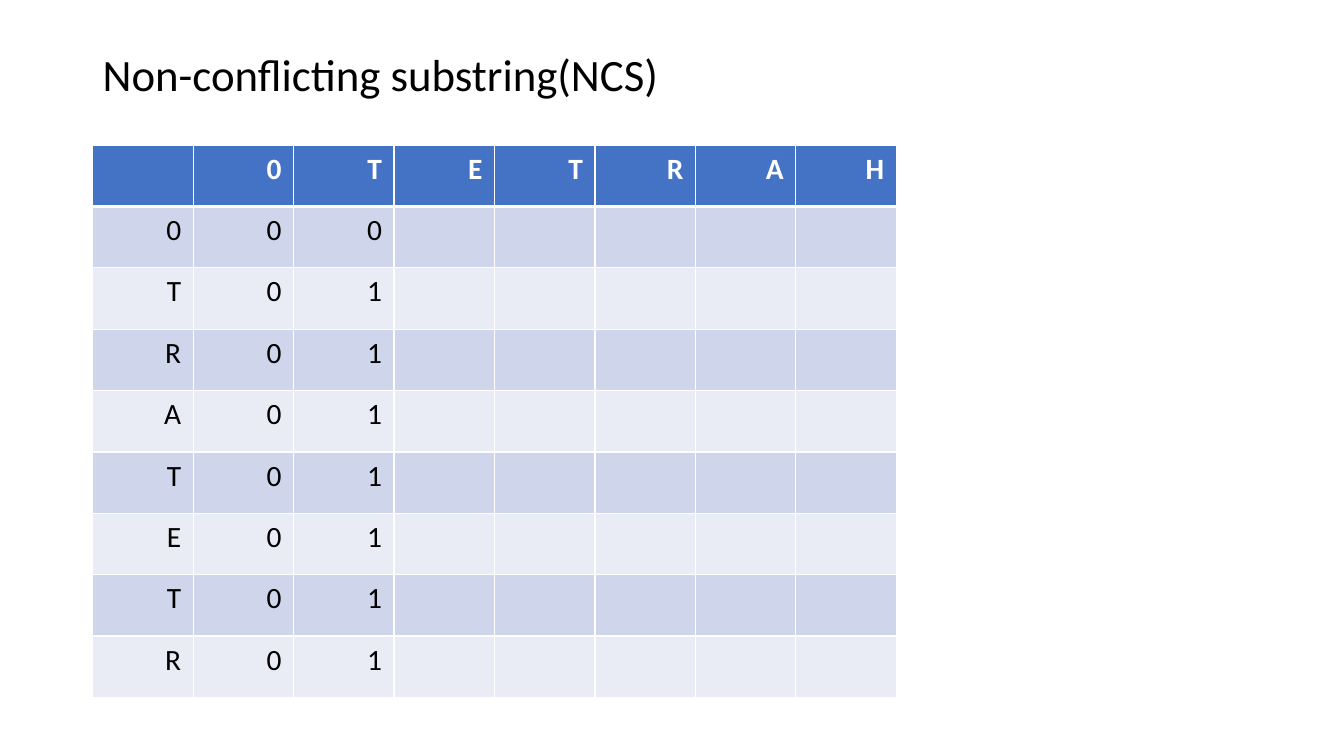
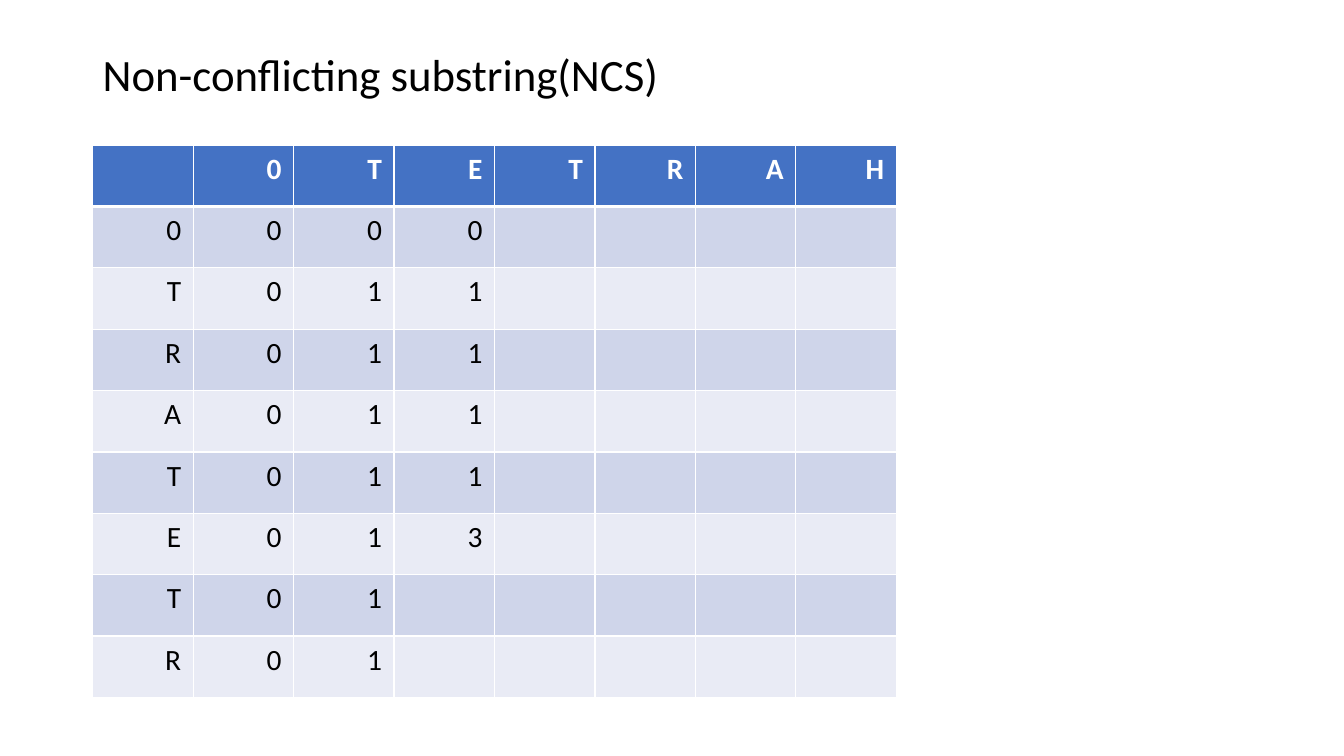
from lxml import etree
from pptx import Presentation
from pptx import util as u
from pptx.dml.color import RGBColor
from pptx.enum import text
from pptx.oxml import ns

COLORS = {"text": "000000", "white": "FFFFFF", "header": "4472C4",
          "odd": "CFD5EA", "even": "E9EBF5"}
FONT = "Calibri"
TITLE = "Non-conflicting substring(NCS)"
TITLE_BOX = (0.92, 0.4, 11.5, 0.73)
TABLE_BOX = (0.92, 1.44, 7.97, 5.48)
COLUMN_LABELS = "0TETRAH"
ROW_LABELS = "0TRATETR"
STEPS = [["00000000", "01111111"],
         ["00000000", "01111111", "011113"]]


def style_font(font, size, color, bold=False):
    """Apply the shared typeface with a size, colour and weight."""
    font.name, font.size, font.bold = FONT, u.Pt(size), bold
    font.color.rgb = RGBColor.from_string(COLORS[color])


def add_title(slide, box, title):
    """Place the slide title, vertically centred in its box."""
    frame = slide.shapes.add_textbox(*map(u.Inches, box)).text_frame
    frame.word_wrap = True
    frame.vertical_anchor = text.MSO_ANCHOR.MIDDLE
    frame.text = title
    paragraph = frame.paragraphs[0]
    paragraph.line_spacing = 0.9
    style_font(paragraph.runs[0].font, 32, "text")


def set_borders(cell, widths):
    """Draw white cell borders, given point widths by side."""
    properties = cell._tc.get_or_add_tcPr()
    for side, width in widths.items():
        line = etree.SubElement(properties, ns.qn(f"a:ln{side}"), w=str(u.Pt(width)))
        fill = etree.SubElement(line, ns.qn("a:solidFill"))
        etree.SubElement(fill, ns.qn("a:srgbClr"), val=COLORS["white"])


def style_cell(cell, row, value):
    """Fill one cell according to its row and write its value."""
    header = row == 0
    set_borders(cell, {"L": 1, "R": 1, "T": 3 if row == 1 else 1, "B": 3 if header else 1})
    band = "header" if header else "odd" if row % 2 else "even"
    cell.fill.solid()
    cell.fill.fore_color.rgb = RGBColor.from_string(COLORS[band])
    cell.margin_left = cell.margin_right = u.Inches(0.12)
    cell.margin_top = cell.margin_bottom = u.Inches(0.06)
    paragraph = cell.text_frame.paragraphs[0]
    paragraph.text = value
    paragraph.alignment = text.PP_ALIGN.RIGHT
    style_font(paragraph.font, 21, "white" if header else "text", header)
    for run in paragraph.runs:
        style_font(run.font, 21, "white" if header else "text", header)


def add_matrix(slide, box, filled_columns):
    """Place the substring matrix with its first columns filled in."""
    columns = [" " + ROW_LABELS] + [
        label + (filled_columns[index] if index < len(filled_columns) else "")
        for index, label in enumerate(COLUMN_LABELS)]
    row_count = len(ROW_LABELS) + 1
    left, top, width, height = map(u.Inches, box)
    table = slide.shapes.add_table(row_count, len(columns), left, top, width, height).table
    for column in table.columns:
        column.width = width // len(columns)
    for row in table.rows:
        row.height = height // row_count
    for column_index, values in enumerate(columns):
        for row_index in range(row_count):
            value = values[row_index:row_index + 1].strip()
            style_cell(table.cell(row_index, column_index), row_index, value)


def add_step_slide(presentation, filled_columns):
    """Add one slide showing a step of the algorithm."""
    slide = presentation.slides.add_slide(presentation.slide_layouts[6])
    add_title(slide, TITLE_BOX, TITLE)
    add_matrix(slide, TABLE_BOX, filled_columns)


def main():
    """Build and save the presentation."""
    presentation = Presentation()
    presentation.slide_width, presentation.slide_height = u.Inches(13.33), u.Inches(7.5)
    for filled_columns in STEPS:
        add_step_slide(presentation, filled_columns)
    presentation.save("out.pptx")


if __name__ == "__main__":
    main()
